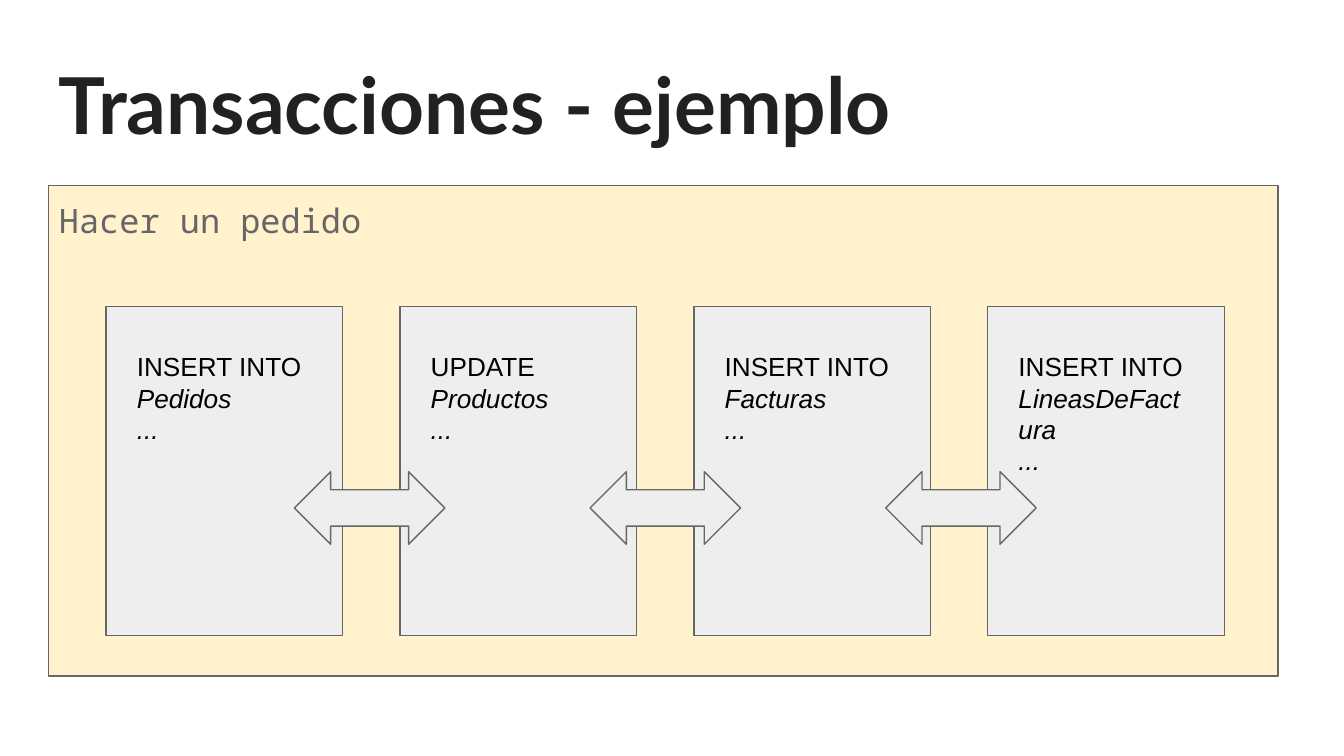
from pptx import Presentation
from pptx.dml.color import RGBColor
from pptx.enum import shapes, text
from pptx.util import Inches, Pt

COLORS = {
    "title": "212121",
    "outline": "666666",
    "transaction": "FFF2CC",
    "step": "EEEEEE",
    "code": "000000",
}
STEPS = [
    ("INSERT INTO", "Pedidos"),
    ("UPDATE", "Productos"),
    ("INSERT INTO", "Facturas"),
    ("INSERT INTO", "LineasDeFactura"),
]
FIRST_STEP, LAST_STEP = 0.79, 7.35
STEP_PITCH = (LAST_STEP - FIRST_STEP) / (len(STEPS) - 1)
ARROW_LEFT, ARROW_PITCH = 2.19, 2.2


def color(name):
    return RGBColor.from_string(COLORS[name])


def add_figure(page, kind, left, top, width, height, fill):
    figure = page.shapes.add_shape(
        kind, Inches(left), Inches(top), Inches(width), Inches(height)
    )
    figure.shadow.inherit = False
    figure.fill.solid()
    figure.fill.fore_color.rgb = color(fill)
    figure.line.color.rgb = color("outline")
    figure.line.width = Pt(0.75)


def add_text(page, lines, left, top, width, height, *, font, size, ink,
             bold=False, italic_from=None, spacing=None):
    """Write one paragraph per line; lines from italic_from on are italic."""
    box = page.shapes.add_textbox(
        Inches(left), Inches(top), Inches(width), Inches(height)
    )
    frame = box.text_frame
    frame.word_wrap = True
    frame.vertical_anchor = text.MSO_ANCHOR.TOP
    frame.margin_left = frame.margin_right = Inches(0.1)
    frame.margin_top = frame.margin_bottom = Inches(0.1)
    for index, line in enumerate(lines):
        para = frame.add_paragraph() if index else frame.paragraphs[0]
        if spacing:
            para.line_spacing = spacing
        span = para.add_run()
        span.text = line
        span.font.name = font
        span.font.size = Pt(size)
        span.font.bold = bold
        span.font.italic = italic_from is not None and index >= italic_from
        span.font.color.rgb = color(ink)


def main():
    deck = Presentation()
    deck.slide_width = Inches(10)
    deck.slide_height = deck.slide_width * 9 // 16
    page = deck.slides.add_slide(deck.slide_layouts[6])
    rectangle = shapes.MSO_SHAPE.RECTANGLE

    add_figure(page, rectangle, 0.36, 1.38, 9.15, 3.65, "transaction")
    add_text(page, ["Hacer un pedido"], 0.34, 1.34, 9, 3.65,
             font="Noto Sans Mono", size=18, ink="outline", spacing=1.15)
    add_text(page, ["Transacciones - ejemplo"], 0.34, 0.32, 9.32, 0.88,
             font="Lato", size=42, ink="title", bold=True)

    lefts = [FIRST_STEP + index * STEP_PITCH for index in range(len(STEPS))]
    for left in lefts:
        add_figure(page, rectangle, left, 2.28, 1.76, 2.45, "step")
    for left, (command, table) in zip(lefts, STEPS):
        add_text(page, [command, table, "..."], left + 0.13, 2.51, 1.5, 0.86,
                 font="Arial", size=14, ink="code", italic_from=1)

    for index in range(len(STEPS) - 1):
        add_figure(page, shapes.MSO_SHAPE.LEFT_RIGHT_ARROW,
                   ARROW_LEFT + index * ARROW_PITCH, 3.51, 1.12, 0.54, "step")

    deck.save("out.pptx")


if __name__ == "__main__":
    main()
